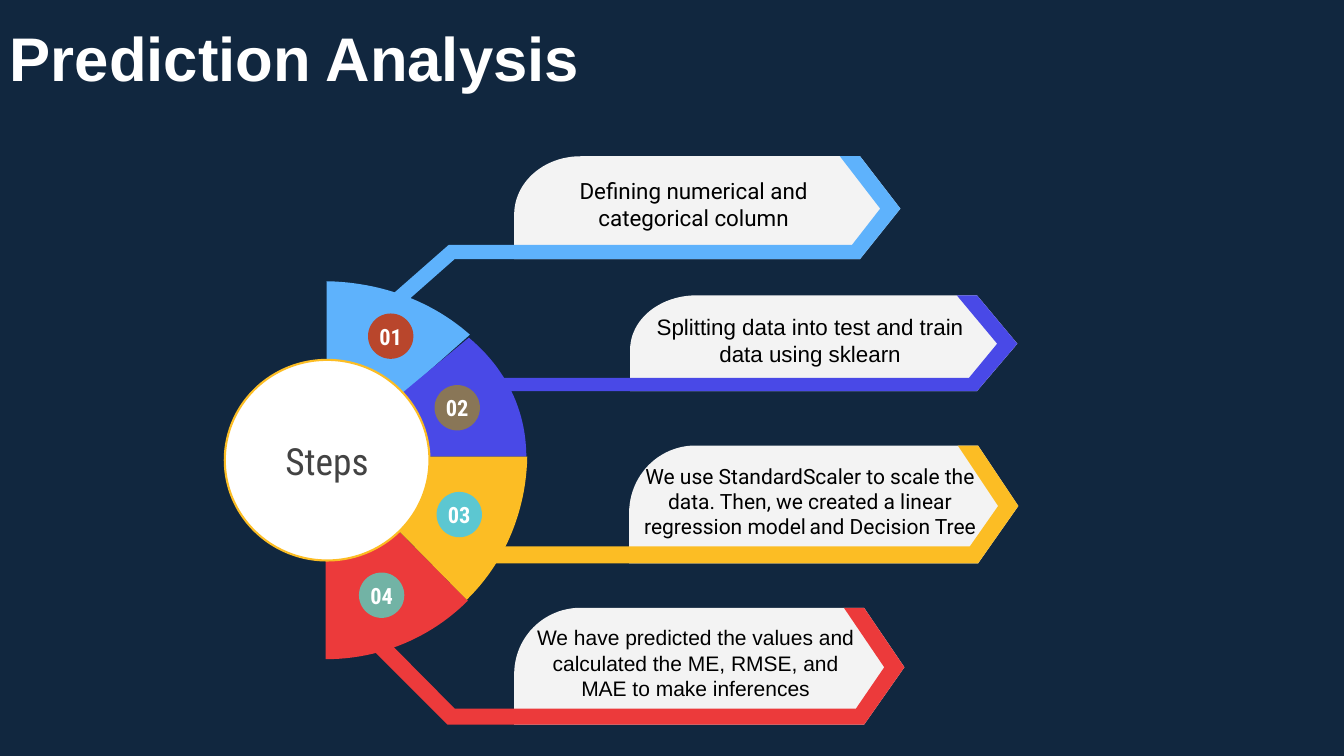
from dataclasses import dataclass

from pptx import Presentation
from pptx.dml.color import RGBColor
from pptx.enum.shapes import MSO_SHAPE
from pptx.enum.text import MSO_ANCHOR, PP_ALIGN
from pptx.util import Inches, Pt

# The slide is a grid of 1333 columns by 750 rows, each cell 0.01 inch
CELL = Inches(0.01)
COLUMNS, ROWS = 1333, 750
CURVE_PIECES = 24

NAVY = RGBColor(0x11, 0x27, 0x3F)
WHITE = RGBColor(0xFF, 0xFF, 0xFF)
BLACK = RGBColor(0x00, 0x00, 0x00)
PALE = RGBColor(0xF3, 0xF3, 0xF3)
GREY = RGBColor(0x43, 0x43, 0x43)
BLUE = RGBColor(0x5E, 0xB2, 0xFC)
INDIGO = RGBColor(0x49, 0x49, 0xE7)
AMBER = RGBColor(0xFC, 0xBD, 0x24)
RED = RGBColor(0xEC, 0x3A, 0x3B)
RUST = RGBColor(0xB9, 0x46, 0x2C)
OLIVE = RGBColor(0x89, 0x76, 0x57)
TEAL = RGBColor(0x5C, 0xC7, 0xD1)
SAGE = RGBColor(0x72, 0xB3, 0xA5)


@dataclass
class Step:
    """One numbered step; all places are in grid cells."""
    number: str
    spans: list      # (text, size) pairs
    font: str
    color: RGBColor
    badge_color: RGBColor
    badge: tuple     # left, top
    label: tuple     # left, top, tip column, tip row, floor, bottom
    corner: int      # height of the rounded corner
    lead: list       # ribbon points that run to the wedge
    wedge: list      # points, with curves as six numbers


STEPS = [
    Step("01", [("Defining numerical and categorical column", 16)], "Roboto",
         BLUE, RUST, (365, 311), (510, 155, 893, 207, 243, 257), 58,
         [(445, 243), (338, 337), (349, 347), (451, 257)],
         [(324, 279), (324, 458), (466, 332), (430, 300, 380, 280, 324, 279)]),
    Step("04", [("We have predicted the values and calculated the ME, RMSE, "
                 "and MAE to make inferences", 15)], "Arial",
         RED, SAGE, (356, 568), (510, 603, 897, 662, 703, 719), 66,
         [(451, 703), (348, 599), (336, 611), (444, 719)],
         [(323, 454), (323, 654), (378, 654, 428, 632, 464, 596)]),
    Step("02", [("Splitting data into test and train data using sklearn", 16)],
         "Arial", INDIGO, OLIVE, (431, 382),
         (625, 293, 1009, 341, 375, 388), 54,
         [(468, 375), (468, 388)],
         [(465, 335), (323, 453), (522, 453), (522, 406, 501, 365, 465, 335)]),
    Step("03", [("We use StandardScaler to scale the data. Then, we created "
                 "a linear regression model", 15), (" ", 10),
                ("and Decision Tree", 15)], "Roboto",
         AMBER, TEAL, (433, 488), (624, 442, 1010, 502, 542, 559), 67,
         [(468, 542), (468, 559)],
         [(323, 453), (463, 595), (500, 559, 522, 508, 523, 453)]),
]


def write(shape, spans, font, color, bold=False, align=PP_ALIGN.CENTER,
          spacing=None, insets=(13, 13, 13, 13)):
    """Put (text, size) spans into a shape; insets are left, top, right, bottom."""
    frame = shape.text_frame
    frame.word_wrap = True
    frame.vertical_anchor = MSO_ANCHOR.MIDDLE
    (frame.margin_left, frame.margin_top,
     frame.margin_right, frame.margin_bottom) = [CELL * inset for inset in insets]
    para = frame.paragraphs[0]
    para.alignment = align
    if spacing:
        para.line_spacing = spacing
    for text, size in spans:
        span = para.add_run()
        span.text = text
        span.font.name = font
        span.font.size = Pt(size)
        span.font.bold = bold
        span.font.color.rgb = color


def paint(shape, fill, line=None):
    shape.shadow.inherit = False
    shape.fill.solid()
    shape.fill.fore_color.rgb = fill
    if line is None:
        shape.line.fill.background()
    else:
        shape.line.color.rgb = line
        shape.line.width = Pt(1.5)


def flatten(outline):
    """Turn each six-number Bezier curve into short straight pieces."""
    points = []
    for entry in outline:
        if len(entry) == 2:
            points.append(entry)
            continue
        nodes = [points[-1], entry[:2], entry[2:4], entry[4:]]
        for piece in range(1, CURVE_PIECES + 1):
            t = piece / CURVE_PIECES
            weights = ((1 - t) ** 3, 3 * t * (1 - t) ** 2, 3 * t * t * (1 - t), t ** 3)
            points.append(tuple(sum(weight * node[axis] for weight, node in zip(weights, nodes))
                                for axis in (0, 1)))
    return points


def add_outline(shapes, outline, fill):
    points = [(x * CELL, y * CELL) for x, y in flatten(outline)]
    builder = shapes.build_freeform(*points[0])
    builder.add_line_segments(points[1:], close=True)
    shape = builder.convert_to_shape()
    paint(shape, fill)
    return shape


def add_circle(page, left, top, width, height, fill, line=None):
    circle = page.shapes.add_shape(
        MSO_SHAPE.OVAL, CELL * left, CELL * top, CELL * width, CELL * height)
    paint(circle, fill, line)
    return circle


def add_step(page, step):
    shapes = page.shapes.add_group_shape().shapes
    left, top, tip, middle, floor, bottom = step.label
    shoulder = tip - 40
    arrow = [(shoulder, bottom), (tip, middle), (shoulder, top)]

    # Label with one rounded corner and a pointed end
    corner = (left + 29, top, left, top + 0.45 * step.corner, left, top + step.corner)
    label = add_outline(shapes, [(left + 66, top), corner, (left, bottom)] + arrow, PALE)
    write(label, step.spans, step.font, BLACK, insets=(13, 13, 40, 20))

    # Coloured ribbon under the label, and its wedge
    chevron = [(shoulder - 20, top), (tip - 20, middle), (shoulder - 8, floor)]
    add_outline(shapes, chevron + step.lead + arrow, step.color)
    add_outline(shapes, step.wedge, step.color)


def add_badge(page, step):
    badge = add_circle(page, *step.badge, 45, 45, step.badge_color)
    write(badge, [(step.number, 16)], "Roboto Condensed", WHITE, bold=True,
          insets=(0, 10, 0, 10))


def main():
    deck = Presentation()
    deck.slide_width, deck.slide_height = CELL * COLUMNS, CELL * ROWS
    page = deck.slides.add_slide(deck.slide_layouts[6])
    page.background.fill.solid()
    page.background.fill.fore_color.rgb = NAVY

    for step in STEPS:
        add_step(page, step)

    # Hub and numbers
    hub = add_circle(page, 223, 357, 203, 199, WHITE, AMBER)
    write(hub, [("Steps", 26.7)], "Roboto Condensed", GREY)
    for step in STEPS:
        add_badge(page, step)

    # Title
    box = page.shapes.add_textbox(0, 0, CELL * 1150, CELL * 122)
    write(box, [("Prediction Analysis", 44)], "Arial", WHITE, bold=True,
          align=PP_ALIGN.LEFT, spacing=0.9, insets=(10, 5, 10, 5))

    deck.save("out.pptx")


if __name__ == "__main__":
    main()
